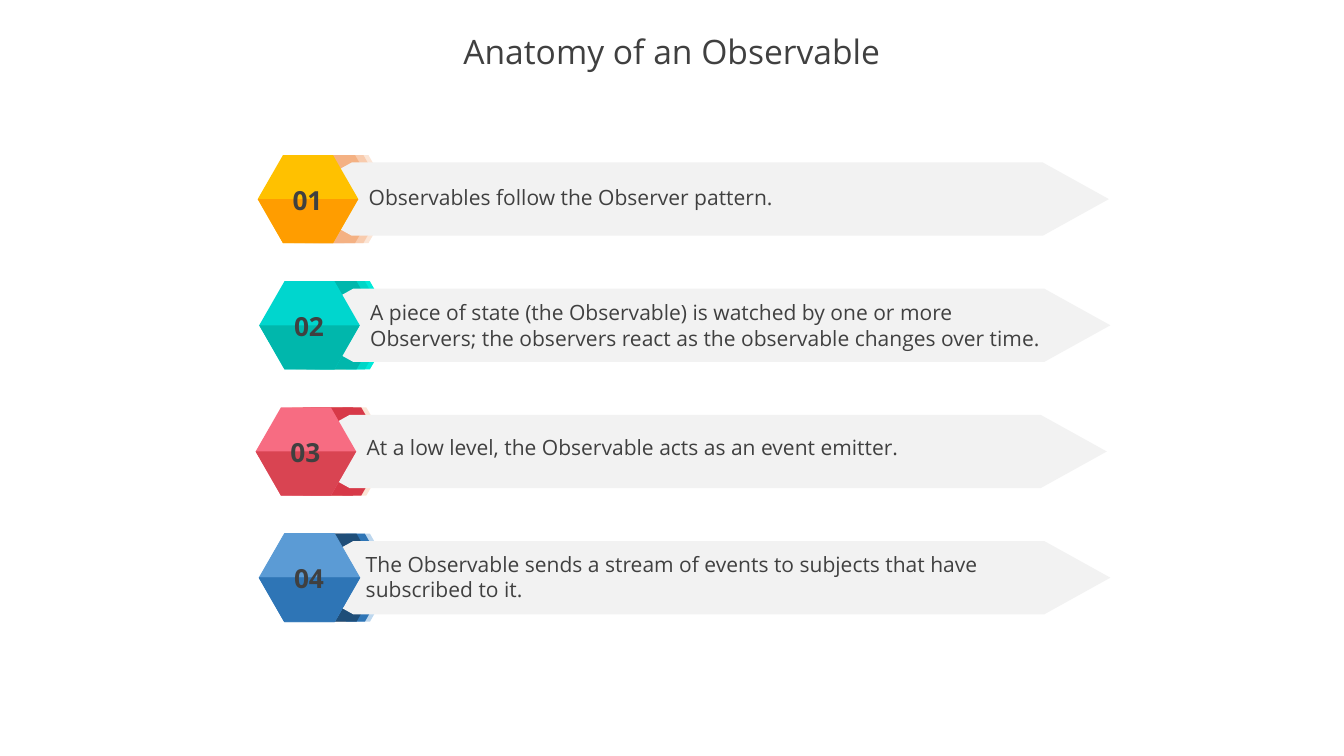
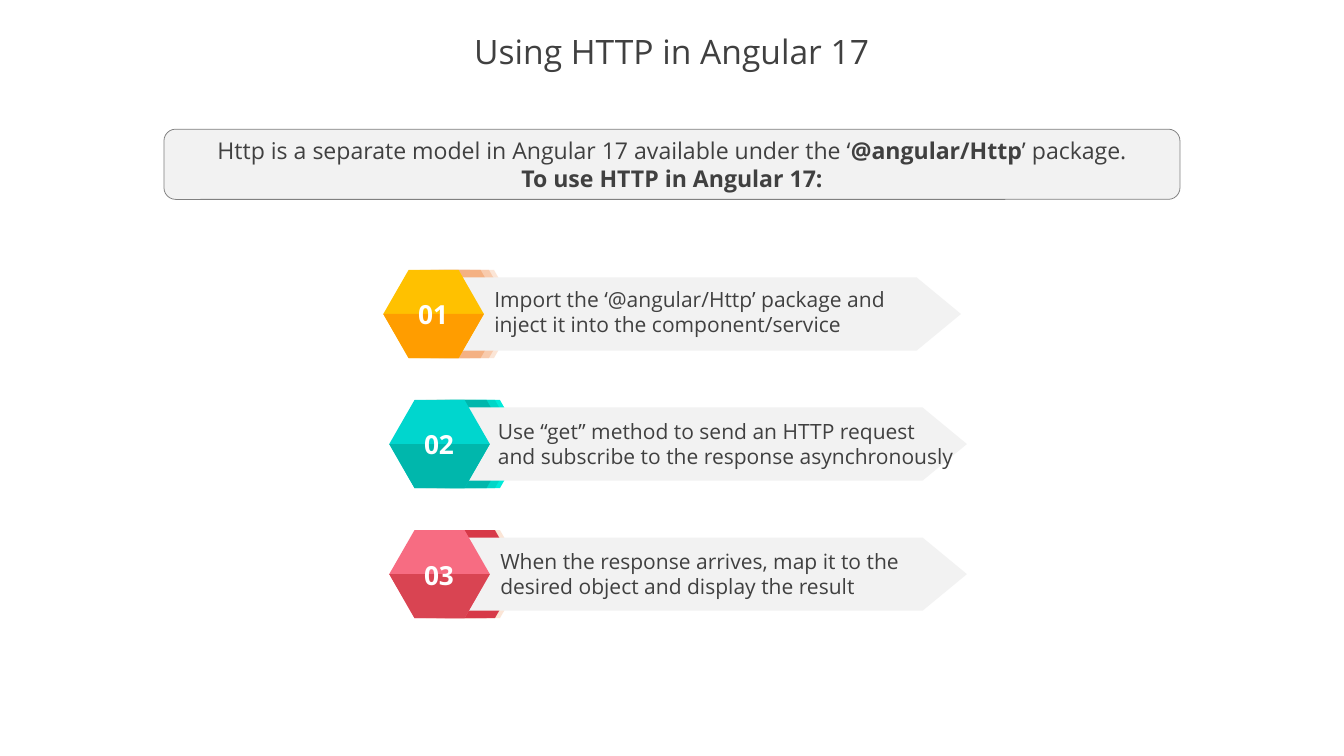
import collections

import pptx
import pptx.dml.color
import pptx.enum.shapes
import pptx.enum.text
import pptx.util

Cm = pptx.util.Cm
Pt = pptx.util.Pt
RGB = pptx.dml.color.RGBColor
ALIGN = pptx.enum.text.PP_ALIGN
ANCHOR = pptx.enum.text.MSO_ANCHOR

FONT = "Open Sans"
INK = RGB(0x40, 0x40, 0x40)
WHITE = RGB(0xFF, 0xFF, 0xFF)
BAND = RGB(0xF2, 0xF2, 0xF2)
BORDER = RGB(0x80, 0x80, 0x80)
PEACH = RGB(0xF8, 0xCB, 0xAD)
PALE_PEACH = RGB(0xFB, 0xE5, 0xD6)
APRICOT = RGB(0xF4, 0xB1, 0x83)
YELLOW = RGB(0xFF, 0xC1, 0x00)
ORANGE = RGB(0xFF, 0x9D, 0x00)
BRIGHT_TEAL = RGB(0x00, 0xEA, 0xD9)
MID_TEAL = RGB(0x00, 0xD6, 0xC7)
TEAL = RGB(0x00, 0xD6, 0xCE)
DEEP_TEAL = RGB(0x00, 0xB7, 0xAC)
CRIMSON = RGB(0xD7, 0x39, 0x48)
PINK = RGB(0xF7, 0x6C, 0x82)
RED = RGB(0xD9, 0x44, 0x52)
PALE_BLUE = RGB(0xBD, 0xD7, 0xEE)
SKY = RGB(0x5B, 0x9B, 0xD5)
BLUE = RGB(0x2E, 0x75, 0xB6)
NAVY = RGB(0x1F, 0x4E, 0x79)

# All lengths below are centimetres.
PAGE_WIDTH, PAGE_HEIGHT = 45.16, 25.4
HEX_WIDTH, HEX_HEIGHT, HEX_CORNER = 3.38, 2.96, 0.85
ECHO_OFFSETS = (1.19, 1.02, 0.38, 0.74)
ARROW_OFFSET, ARROW_INSET = 0.94, 0.25

# echoes: hexagons behind the front one, from back to front
Palette = collections.namedtuple("Palette", "echoes upper lower outlined")
PALETTES = (
    Palette((PALE_PEACH, PEACH, PEACH, APRICOT), YELLOW, ORANGE, False),
    Palette((BRIGHT_TEAL, MID_TEAL, PEACH, DEEP_TEAL), TEAL, DEEP_TEAL, False),
    Palette((PALE_PEACH, CRIMSON, PEACH, CRIMSON), PINK, RED, False),
    Palette((PALE_BLUE, BLUE, PEACH, NAVY), SKY, BLUE, True),
)

# left: of the hexagon; text_left, text_top: from the hexagon's corner
Step = collections.namedtuple("Step", "left text_left text_top text_width wrap text")
ListStyle = collections.namedtuple("ListStyle", "top pitch arrow_width arrow_tip number_color")

ANATOMY_STYLE = ListStyle(5.21, 4.24, 27.66, 2.22, INK)
ANATOMY_STEPS = (
    Step(8.66, 3.48, 0.88, 14.2, False, "Observables follow the Observer pattern."),
    Step(8.71, 3.48, 0.5, 23.29, True,
         "A piece of state (the Observable) is watched by one or more Observers; "
         "the observers react as the observable changes over time."),
    Step(8.59, 3.48, 0.8, 18.52, False,
         "At a low level, the Observable acts as an event emitter."),
    Step(8.71, 3.33, 0.48, 22.56, True,
         "The Observable sends a stream of events to subjects that have subscribed to it."),
)

HTTP_STYLE = ListStyle(9.07, 4.37, 18.47, 1.49, WHITE)
HTTP_STEPS = (
    Step(12.88, 3.48, 0.44, 14.94, True,
         "Import the ‘@angular/Http’ package and inject it into the component/service"),
    Step(13.08, 3.4, 0.5, 15.9, True,
         "Use “get” method to send an HTTP request and subscribe to the response asynchronously"),
    Step(13.08, 3.48, 0.5, 14.94, True,
         "When the response arrives, map it to the desired object and display the result"),
)
HTTP_NOTE = (
    (("Http is a separate model in Angular 17 available under the ‘", False),
     ("@angular/Http", True), ("’ package.", False)),
    (("To use HTTP in Angular 17:", True),),
)


def hexagon(left, top, width, height, corner):
    right, bottom, middle = left + width, top + height, top + height / 2
    return ((left + corner, top), (right - corner, top), (right, middle),
            (right - corner, bottom), (left + corner, bottom), (left, middle))


def badge(left, top):
    return hexagon(left, top, HEX_WIDTH, HEX_HEIGHT, HEX_CORNER)


class SlideBuilder:
    def __init__(self):
        self.deck = pptx.Presentation()
        self.deck.slide_width = Cm(PAGE_WIDTH)
        self.deck.slide_height = Cm(PAGE_HEIGHT)
        self.page = None

    def style_span(self, span, size, color=INK, bold=False):
        span.font.name = FONT
        span.font.size = Pt(size)
        span.font.bold = bold
        span.font.color.rgb = color

    def add_page(self, title):
        self.page = self.deck.slides.add_slide(self.deck.slide_layouts[5])
        box = self.page.shapes.title
        box.left, box.top = Cm(0), Cm(0.89)
        box.width, box.height = Cm(PAGE_WIDTH), Cm(1.85)
        frame = box.text_frame
        frame.text = title
        frame.auto_size = pptx.enum.text.MSO_AUTO_SIZE.NONE
        frame.vertical_anchor = ANCHOR.MIDDLE
        para = frame.paragraphs[0]
        para.alignment = ALIGN.CENTER
        para.line_spacing = 0.9
        self.style_span(para.runs[0], 32)

    def add_outline(self, group, points, fill, outlined=False):
        corners = [(Cm(x), Cm(y)) for x, y in points]
        builder = group.shapes.build_freeform(*corners[0])
        builder.add_line_segments(corners[1:], close=True)
        shape = builder.convert_to_shape()
        shape.shadow.inherit = False
        shape.fill.solid()
        shape.fill.fore_color.rgb = fill
        if outlined:
            shape.line.color.rgb = fill
            shape.line.width = Pt(0.75)
        else:
            shape.line.fill.background()

    def add_text(self, group, bounds, text, size, color=INK, bold=False, wrap=True):
        box = group.shapes.add_textbox(*map(Cm, bounds))
        frame = box.text_frame
        frame.word_wrap = wrap
        frame.text = text
        self.style_span(frame.paragraphs[0].runs[0], size, color, bold)

    def add_note(self, bounds, lines):
        """Add the rounded box; each line is a sequence of (text, bold)."""
        box = self.page.shapes.add_shape(
            pptx.enum.shapes.MSO_SHAPE.ROUNDED_RECTANGLE, *map(Cm, bounds))
        box.shadow.inherit = False
        box.fill.solid()
        box.fill.fore_color.rgb = BAND
        box.line.color.rgb = BORDER
        box.line.width = Pt(0.75)
        frame = box.text_frame
        frame.word_wrap = True
        frame.vertical_anchor = ANCHOR.MIDDLE
        for index, line in enumerate(lines):
            para = frame.add_paragraph() if index else frame.paragraphs[0]
            para.alignment = ALIGN.CENTER
            for text, bold in line:
                span = para.add_run()
                span.text = text
                self.style_span(span, 22, bold=bold)

    def add_step(self, number, top, step, palette, style):
        group = self.page.shapes.add_group_shape()
        left = step.left
        for offset, color in zip(ECHO_OFFSETS, palette.echoes):
            self.add_outline(group, badge(left + offset, top), color)
        arrow = hexagon(left + ARROW_OFFSET, top + ARROW_INSET, style.arrow_width,
                        HEX_HEIGHT - 2 * ARROW_INSET, style.arrow_tip)
        self.add_outline(group, arrow, BAND)
        front = badge(left, top)
        self.add_outline(group, front, palette.upper, palette.outlined)
        self.add_outline(group, front[2:], palette.lower, palette.outlined)
        self.add_text(group, (left + step.text_left, top + step.text_top, step.text_width,
                              1.96 if step.wrap else 1.11), step.text, 20, wrap=step.wrap)
        self.add_text(group, (left + 0.92, top + 0.84, 1.52, 1.32), f"{number:02}", 25,
                      style.number_color, bold=True)

    def add_steps(self, steps, style):
        for index, (step, palette) in enumerate(zip(steps, PALETTES)):
            self.add_step(index + 1, style.top + index * style.pitch, step, palette, style)


def main():
    builder = SlideBuilder()
    builder.add_page("Anatomy of an Observable")
    builder.add_steps(ANATOMY_STEPS, ANATOMY_STYLE)

    builder.add_page("Using HTTP in Angular 17")
    builder.add_note((5.51, 4.34, 34.14, 2.36), HTTP_NOTE)
    builder.add_steps(HTTP_STEPS, HTTP_STYLE)
    builder.deck.save("out.pptx")


if __name__ == "__main__":
    main()
